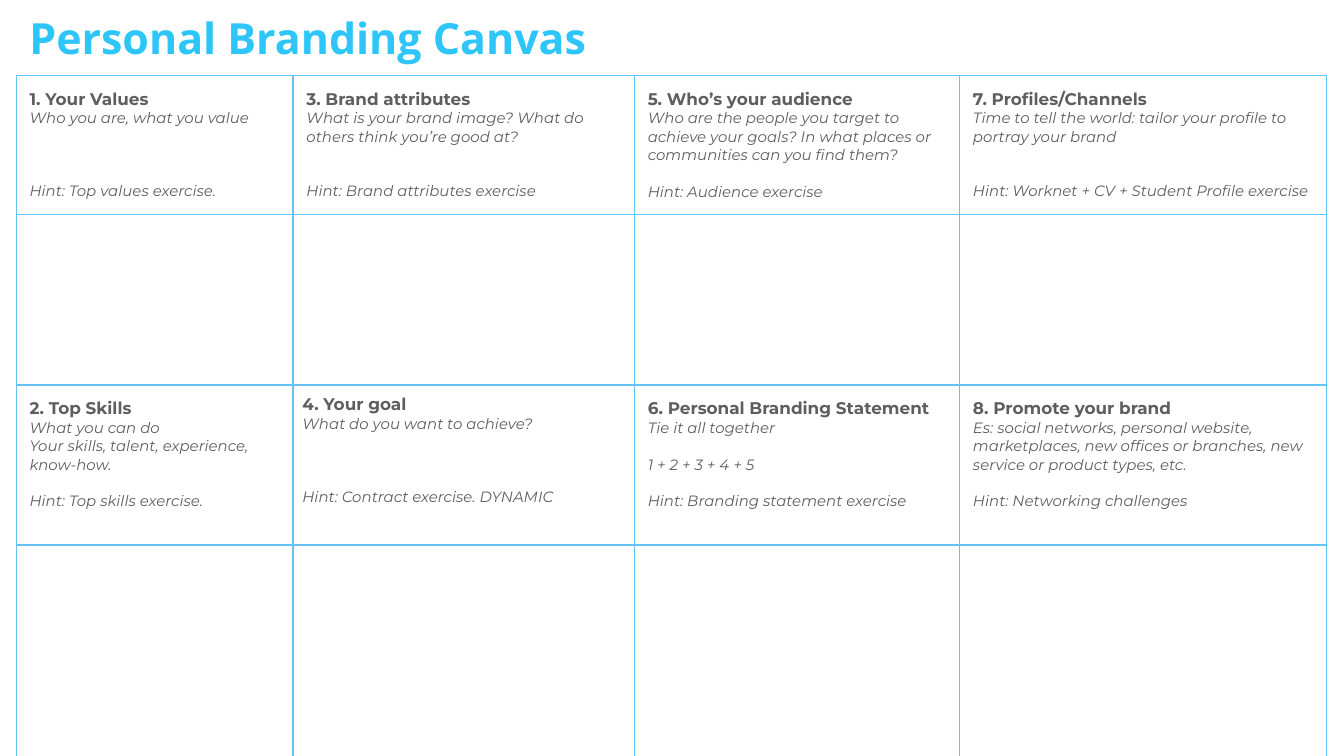
from dataclasses import dataclass

import pptx
import pptx.dml.color
import pptx.oxml
import pptx.oxml.ns
import pptx.util
from pptx.util import Inches


@dataclass(frozen=True)
class Theme:
    title_color: str = "2DC5FA"
    text_color: str = "5E5E5E"
    border_color: str = "64C3F5"
    title_font: str = "Open Sans"
    body_font: str = "Montserrat"
    title_size: float = 23
    heading_size: float = 9
    body_size: float = 8
    body_line: float = 9.75
    border_width: float = 0.75


THEME = Theme()
TITLE = dict(name=THEME.title_font, size=THEME.title_size, bold=True, color=THEME.title_color)
HEADING = dict(name=THEME.body_font, size=THEME.heading_size, bold=True, color=THEME.text_color)
BODY = dict(name=THEME.body_font, size=THEME.body_size, italic=True, color=THEME.text_color)

SLIDE_WIDTH = 10
SLIDE_HEIGHT = SLIDE_WIDTH * 9 / 16
COLUMN_WIDTHS = [2.06, 2.54, 2.42, 2.73]
ROW_HEIGHTS = [1.03, 1.27, 1.19, 1.62]
MARGIN = 0.1
GOAL_MARGIN = 0.07

# Each step: row, column, margin, heading, then (text, blank lines above) pairs
STEPS = [
    (0, 0, MARGIN, "1. Your Values",
     [("Who you are, what you value", 0), ("Hint: Top values exercise.", 3)]),
    (2, 0, MARGIN, "2. Top Skills",
     [("What you can do", 0), ("Your skills, talent, experience, know-how.", 0),
      ("Hint: Top skills exercise.", 1)]),
    (0, 1, MARGIN, "3. Brand attributes",
     [("What is your brand image? What do others think you’re good at?", 0),
      ("Hint: Brand attributes exercise", 2)]),
    (2, 1, GOAL_MARGIN, "4. Your goal",
     [("What do you want to achieve?", 0), ("Hint: Contract exercise. DYNAMIC", 3)]),
    (0, 2, MARGIN, "5. Who’s your audience",
     [("Who are the people you target to achieve your goals? "
       "In what places or communities can you find them?", 0),
      ("Hint: Audience exercise", 1)]),
    (2, 2, MARGIN, "6. Personal Branding Statement",
     [("Tie it all together", 0), ("1 + 2 + 3 + 4 + 5", 1),
      ("Hint: Branding statement exercise", 1)]),
    (0, 3, MARGIN, "7. Profiles/Channels",
     [("Time to tell the world: tailor your profile to portray your brand", 0),
      ("Hint: Worknet + CV + Student Profile exercise", 2)]),
    (2, 3, MARGIN, "8. Promote your brand",
     [("Es: social networks, personal website, marketplaces, new offices or branches, "
       "new service or product types, etc.", 0),
      ("Hint: Networking challenges", 1)]),
]


def write_paragraph(paragraph, text, style, blank_lines=0):
    run = paragraph.add_run()
    run.text = text
    for attribute, value in style.items():
        if attribute == "color":
            run.font.color.rgb = pptx.dml.color.RGBColor.from_string(value)
        else:
            setattr(run.font, attribute, pptx.util.Pt(value) if attribute == "size" else value)
    paragraph.space_before = pptx.util.Pt(blank_lines * THEME.body_line)


def set_margins(target, margin):
    for side in ("left", "top", "right", "bottom"):
        setattr(target, f"margin_{side}", Inches(margin))


def add_title(slide, text):
    box = slide.shapes.add_textbox(Inches(0.12), Inches(-0.01), Inches(7.52), Inches(0.54))
    box.text_frame.word_wrap = True
    set_margins(box.text_frame, MARGIN)
    write_paragraph(box.text_frame.paragraphs[0], text, TITLE)


def outline_cell(cell):
    """Draw all four borders and leave the cell unfilled."""
    properties = cell._tc.get_or_add_tcPr()
    for side in ("lnL", "lnR", "lnT", "lnB"):
        properties.append(pptx.oxml.parse_xml(
            f'<a:{side} {pptx.oxml.ns.nsdecls("a")} w="{pptx.util.Pt(THEME.border_width)}">'
            f'<a:solidFill><a:srgbClr val="{THEME.border_color}"/></a:solidFill></a:{side}>'))
    cell.fill.background()


def add_canvas(slide):
    table = slide.shapes.add_table(
        len(ROW_HEIGHTS), len(COLUMN_WIDTHS), Inches(0.12), Inches(0.56),
        Inches(sum(COLUMN_WIDTHS)), Inches(sum(ROW_HEIGHTS))).table
    table.first_row = table.horz_banding = False
    for column, width in zip(table.columns, COLUMN_WIDTHS):
        column.width = Inches(width)
    for row, height in zip(table.rows, ROW_HEIGHTS):
        row.height = Inches(height)
    for cell in table.iter_cells():
        outline_cell(cell)
    return table


def fill_step(cell, margin, heading, lines):
    set_margins(cell, margin)
    write_paragraph(cell.text_frame.paragraphs[0], heading, HEADING)
    for text, blank_lines in lines:
        write_paragraph(cell.text_frame.add_paragraph(), text, BODY, blank_lines)


def main():
    presentation = pptx.Presentation()
    presentation.slide_width = Inches(SLIDE_WIDTH)
    presentation.slide_height = Inches(SLIDE_HEIGHT)
    slide = presentation.slides.add_slide(presentation.slide_layouts[6])
    table = add_canvas(slide)
    for row, column, margin, heading, lines in STEPS:
        fill_step(table.cell(row, column), margin, heading, lines)
    add_title(slide, "Personal Branding Canvas")
    presentation.save("out.pptx")


if __name__ == "__main__":
    main()
